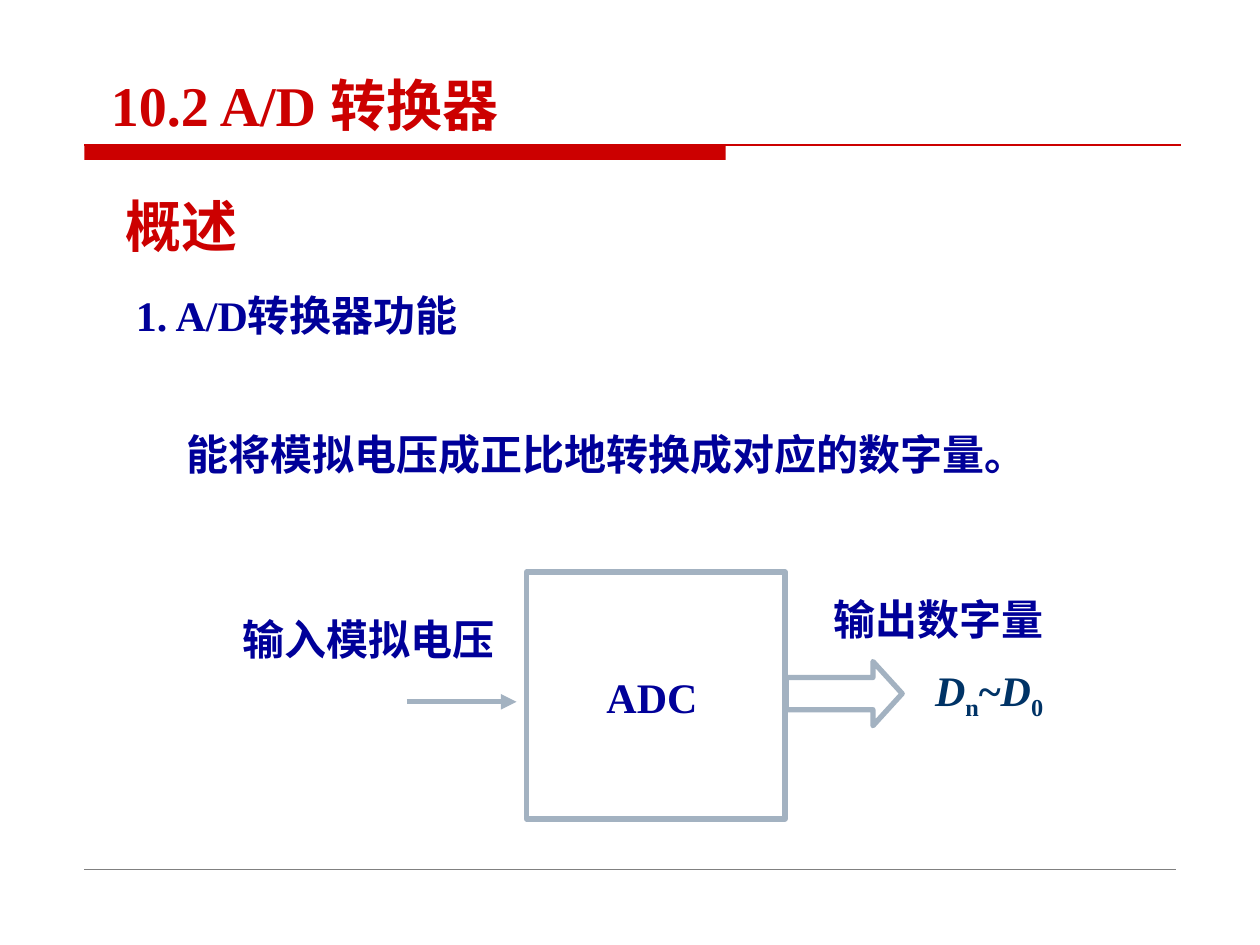
from lxml import etree
from pptx import Presentation
from pptx.dml.color import RGBColor
from pptx.enum.shapes import MSO_CONNECTOR, MSO_SHAPE
from pptx.enum.text import MSO_ANCHOR, MSO_AUTO_SIZE, PP_ALIGN
from pptx.oxml.ns import qn
from pptx.util import Inches, Pt

STRAIGHT = MSO_CONNECTOR.STRAIGHT
RECTANGLE, RIGHT_ARROW = MSO_SHAPE.RECTANGLE, MSO_SHAPE.RIGHT_ARROW
TOP, MIDDLE, BOTTOM = MSO_ANCHOR.TOP, MSO_ANCHOR.MIDDLE, MSO_ANCHOR.BOTTOM
LEFT, CENTER, JUSTIFY = PP_ALIGN.LEFT, PP_ALIGN.CENTER, PP_ALIGN.JUSTIFY
NO_AUTOFIT = MSO_AUTO_SIZE.NONE

RED, NAVY, TEAL, STEEL, GRAY, WHITE = "CC0000", "000099", "003366", "A3B2C1", "808080", "FFFFFF"
SERIF, NARROW = "Times New Roman", "Arial Narrow"
HEADING = {"size": Pt(32), "bold": True, "name": NARROW}
BODY = {"size": Pt(24), "bold": True, "name": SERIF}


def rgb(value):
    """Turn a hex string into a colour."""
    return RGBColor.from_string(value)


def write(box, spans, style, color, anchor=TOP, align=LEFT, wrap=True):
    """Fill a box with one paragraph of (text, changes, baseline) spans and return it."""
    frame = box.text_frame
    for name, value in {"auto_size": NO_AUTOFIT, "word_wrap": wrap, "vertical_anchor": anchor}.items():
        setattr(frame, name, value)
    para = frame.paragraphs[0]
    para.alignment = align
    for text, changes, baseline in spans:
        span = para.add_run()
        span.text = text
        for name, value in {**style, **changes}.items():
            setattr(span.font, name, value)
        span.font.color.rgb = rgb(color)
        if baseline:
            span.font._element.set("baseline", str(baseline))
    return para


def add_label(slide, place, text, style=BODY, color=NAVY, **layout):
    """Add a text box holding a plain string."""
    box = slide.shapes.add_textbox(*map(Inches, place))
    return write(box, [(text, {}, 0)], style, color, **layout)


def add_block(slide, kind, place, fill, line=None):
    """Add a filled preset shape with an optional thick outline."""
    block = slide.shapes.add_shape(kind, *map(Inches, place))
    block.shadow.inherit = False
    block.fill.solid()
    block.fill.fore_color.rgb = rgb(fill)
    if line:
        block.line.color.rgb = rgb(line)
        block.line.width = Pt(3)
    else:
        block.line.fill.background()
    return block


def add_rule(slide, start, end, color, width, arrow=False):
    """Add a straight line, with an arrowhead at its end if asked."""
    rule = slide.shapes.add_connector(STRAIGHT, *map(Inches, start + end))
    rule.line.color.rgb = rgb(color)
    rule.line.width = Pt(width)
    if arrow:
        etree.SubElement(rule.line._get_or_add_ln(), qn("a:tailEnd"), type="triangle")
    etree.SubElement(rule._element.spPr, qn("a:effectLst"))


def add_title(slide):
    """Place the slide title above the red bar."""
    title = slide.shapes.title
    place = {"left": 0.78, "top": 0.6, "width": 8, "height": 0.54}
    for name, value in place.items():
        setattr(title, name, Inches(value))
    spans = [("10.2 A/D ", {"name": SERIF}, 0), ("转换器", {}, 0)]
    write(title, spans, HEADING, RED, BOTTOM)


def add_frame(slide):
    """Draw the header bar and the header and footer rules."""
    add_block(slide, RECTANGLE, (0.67, 1.15, 5.09, 0.12), RED)
    add_rule(slide, (0.67, 1.15), (9.37, 1.15), RED, 0.75)
    add_rule(slide, (0.67, 6.9), (9.33, 6.9), GRAY, 0.25)


def add_converter(slide):
    """Draw the converter with its analog input and digital output."""
    add_block(slide, RECTANGLE, (4.18, 4.54, 2.05, 1.96), WHITE, STEEL)
    add_label(slide, (4.36, 5.26, 1.63, 0.54), "ADC", anchor=MIDDLE, align=CENTER)

    output = add_block(slide, RIGHT_ARROW, (6.24, 5.25, 0.92, 0.51), WHITE, STEEL)
    output.adjustments[0], output.adjustments[1] = 0.5, 0.455
    add_label(slide, (6.52, 4.66, 2.25, 0.5), "输出数字量", anchor=MIDDLE)
    bits = slide.shapes.add_textbox(*map(Inches, (7.09, 5.25, 1.52, 0.5)))
    italic = {"italic": True}
    spans = [("D", italic, 0), ("n", {}, -25000), ("~", {}, 0), ("D", italic, 0), ("0", {}, -25000)]
    write(bits, spans, BODY, TEAL, MIDDLE, CENTER)

    add_rule(slide, (3.23, 5.57), (4.1, 5.57), STEEL, 3, arrow=True)
    add_label(slide, (1.83, 4.82, 2.21, 0.5), "输入模拟电压", wrap=False)


def main():
    """Build the slide and save the deck."""
    deck = Presentation()
    deck.slide_width, deck.slide_height = Inches(10), Inches(7.5)
    slide = deck.slides.add_slide(deck.slide_layouts[5])
    add_frame(slide)
    add_title(slide)
    add_label(slide, (0.9, 1.39, 4.42, 0.71), "概述", HEADING, RED, anchor=BOTTOM)
    add_label(slide, (0.98, 2.25, 2.78, 0.5), "1. A/D转换器功能")
    summary = add_label(slide, (1.38, 3.31, 7.15, 0.54), "能将模拟电压成正比地转换成对应的数字量。",
                        {**BODY, "name": NARROW}, align=JUSTIFY)
    summary.line_spacing = 1.1
    add_converter(slide)
    deck.save("out.pptx")


if __name__ == "__main__":
    main()
